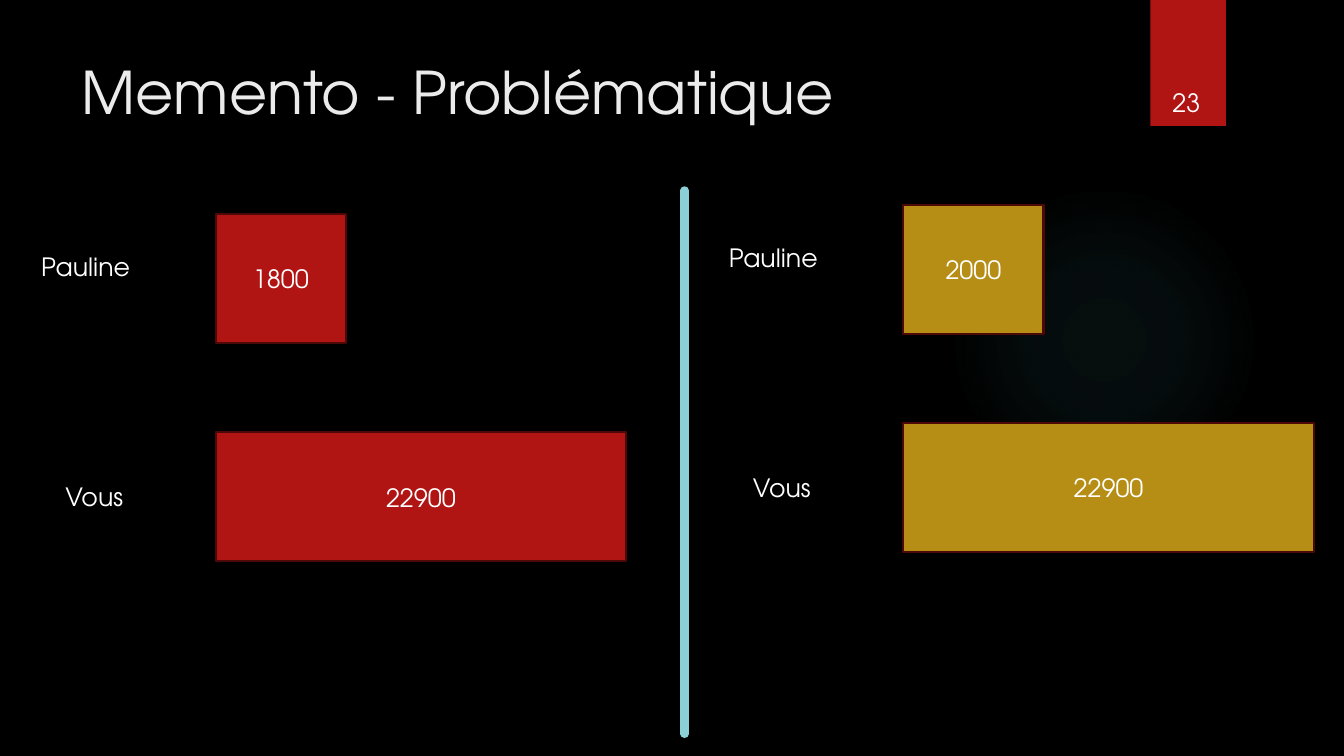
from dataclasses import dataclass

import pptx
import pptx.dml.color
import pptx.enum.shapes
import pptx.enum.text
import pptx.oxml
import pptx.oxml.ns
import pptx.util
from pptx.util import Inches

SHAPE = pptx.enum.shapes.MSO_SHAPE
ALIGN = pptx.enum.text.PP_ALIGN
ANCHOR = pptx.enum.text.MSO_ANCHOR
AUTO_SIZE = pptx.enum.text.MSO_AUTO_SIZE
DRAWING_NS = pptx.oxml.ns.nsdecls("a")


@dataclass(frozen=True)
class Theme:
    font: str = "TeX Gyre Adventor"
    background: str = "000000"
    title: str = "EBEBEB"
    text: str = "FFFFFF"
    red: str = "B01513"
    gold: str = "B68E15"
    outline: str = "4D0908"
    divider: str = "8AD0D6"
    glow: str = "50B9C1"
    title_size: int = 42
    text_size: int = 18


THEME = Theme()


def rgb(color):
    return pptx.dml.color.RGBColor.from_string(color)


def write(frame, text, size=THEME.text_size, color=THEME.text, align=ALIGN.LEFT):
    paragraph = frame.paragraphs[0]
    paragraph.alignment = align
    run = paragraph.add_run()
    run.text = text
    run.font.name = THEME.font
    run.font.size = pptx.util.Pt(size)
    run.font.color.rgb = rgb(color)


def add_title(slide, text):
    title = slide.shapes.title
    title.left, title.top = Inches(0.71), Inches(0.5)
    title.width, title.height = Inches(10.29), Inches(1.53)
    frame = title.text_frame
    frame.auto_size = AUTO_SIZE.NONE
    frame.vertical_anchor = ANCHOR.TOP
    write(frame, text, THEME.title_size, THEME.title)


def add_block(slide, left, top, width, height, fill):
    block = slide.shapes.add_shape(
        SHAPE.RECTANGLE, Inches(left), Inches(top), Inches(width), Inches(height))
    block.shadow.inherit = False
    block.fill.solid()
    block.fill.fore_color.rgb = rgb(fill)
    block.line.fill.background()
    return block


def add_amount(slide, left, top, width, fill, amount):
    block = add_block(slide, left, top, width, 1.28, fill)
    block.line.color.rgb = rgb(THEME.outline)
    block.line.width = pptx.util.Pt(1.5)
    block.text_frame.vertical_anchor = ANCHOR.MIDDLE
    write(block.text_frame, amount, align=ALIGN.CENTER)


def add_label(slide, left, top, width, text):
    label = slide.shapes.add_textbox(
        Inches(left), Inches(top), Inches(width), Inches(0.4))
    label.text_frame.word_wrap = True
    label.text_frame.auto_size = AUTO_SIZE.SHAPE_TO_FIT_TEXT
    write(label.text_frame, text)


def add_balances(slide, left, top, fill, pauline, pauline_width, you):
    """Draw one state of both accounts, with its corner at left, top."""
    add_amount(slide, left + 1.83, top, pauline_width, fill, pauline)
    add_label(slide, left, top + 0.32, 1.64, "Pauline")
    add_amount(slide, left + 1.83, top + 2.17, 4.07, fill, you)
    add_label(slide, left + 0.24, top + 2.61, 1.17, "Vous")


def add_glow(slide):
    """Draw a faint disc that fades out from its centre."""
    glow = slide.shapes.add_shape(
        SHAPE.OVAL, Inches(9.41), Inches(1.83), Inches(3.08), Inches(3.08))
    glow.shadow.inherit = False
    glow.line.fill.background()
    stops = "".join(
        f'<a:gs pos="{position * 1000}"><a:srgbClr val="{THEME.glow}">'
        f'<a:alpha val="{opacity * 1000}"/></a:srgbClr></a:gs>'
        for position, opacity in ((0, 7), (36, 6), (69, 0)))
    gradient = pptx.oxml.parse_xml(
        f'<a:gradFill {DRAWING_NS}><a:gsLst>{stops}</a:gsLst><a:path path="circle">'
        '<a:fillToRect l="50000" t="50000" r="50000" b="50000"/></a:path></a:gradFill>')
    glow._element.spPr.find(pptx.oxml.ns.qn("a:prstGeom")).addnext(gradient)


def add_divider(slide):
    divider = slide.shapes.add_connector(
        pptx.enum.shapes.MSO_CONNECTOR.STRAIGHT,
        Inches(6.79), Inches(1.89), Inches(6.79), Inches(7.28))
    divider.line.color.rgb = rgb(THEME.divider)
    divider.line.width = pptx.util.Pt(6)
    properties = divider._element.spPr
    properties.find(pptx.oxml.ns.qn("a:ln")).set("cap", "rnd")
    properties.append(pptx.oxml.parse_xml(f"<a:effectLst {DRAWING_NS}/>"))


def main():
    deck = pptx.Presentation()
    deck.slide_width, deck.slide_height = Inches(13.33), Inches(7.5)
    slide = deck.slides.add_slide(deck.slide_layouts.get_by_name("Title Only"))
    slide.background.fill.solid()
    slide.background.fill.fore_color.rgb = rgb(THEME.background)

    add_glow(slide)
    add_block(slide, 11.41, 0, 0.75, 1.25, THEME.red)
    add_title(slide, "Memento - Problématique")
    add_balances(slide, 0.31, 2.12, THEME.red, "1800", 1.29, "22900")
    add_balances(slide, 7.13, 2.03, THEME.gold, "2000", 1.39, "22900")
    add_divider(slide)
    add_label(slide, 11.53, 0.82, 0.78, "23")
    deck.save("out.pptx")


if __name__ == "__main__":
    main()
